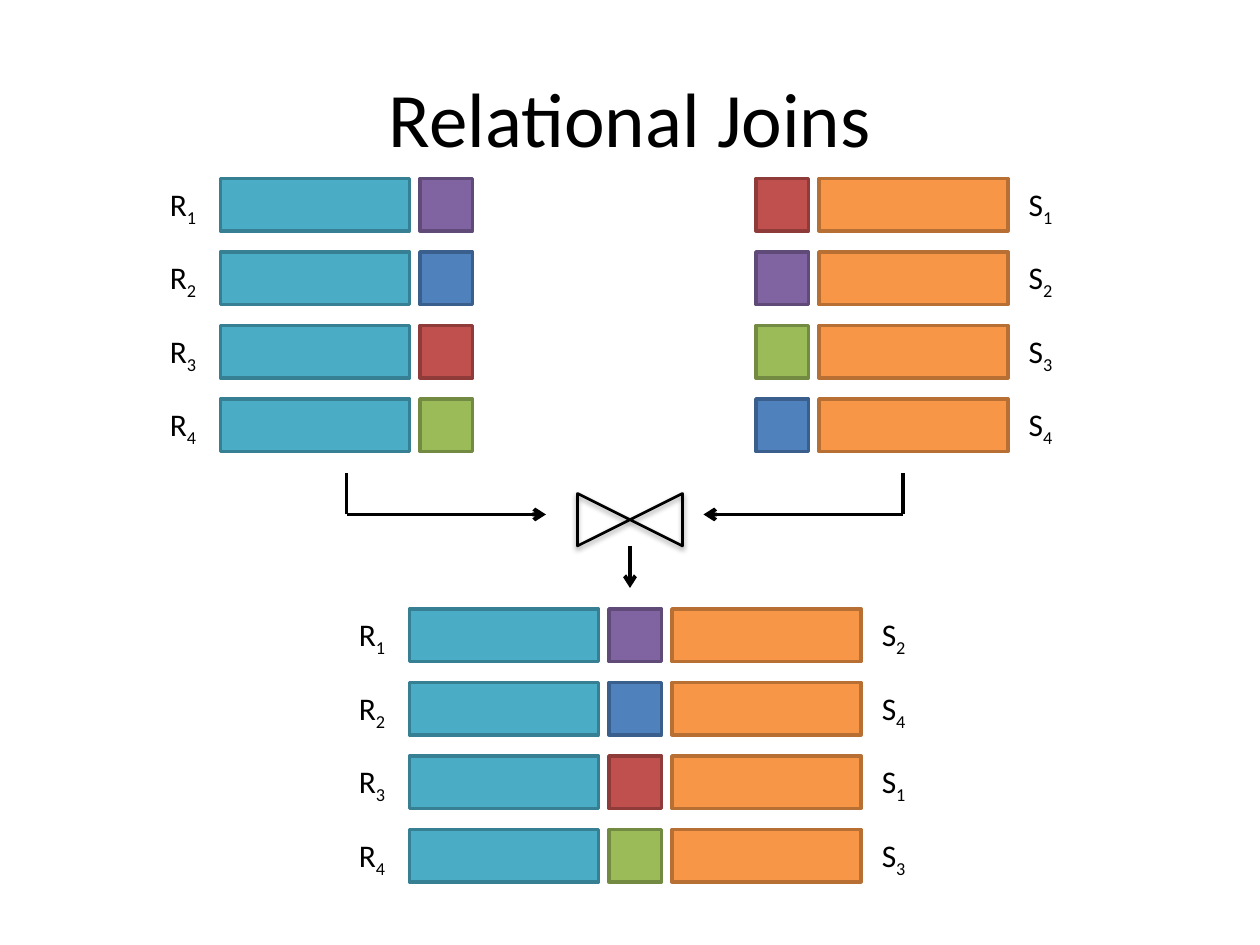
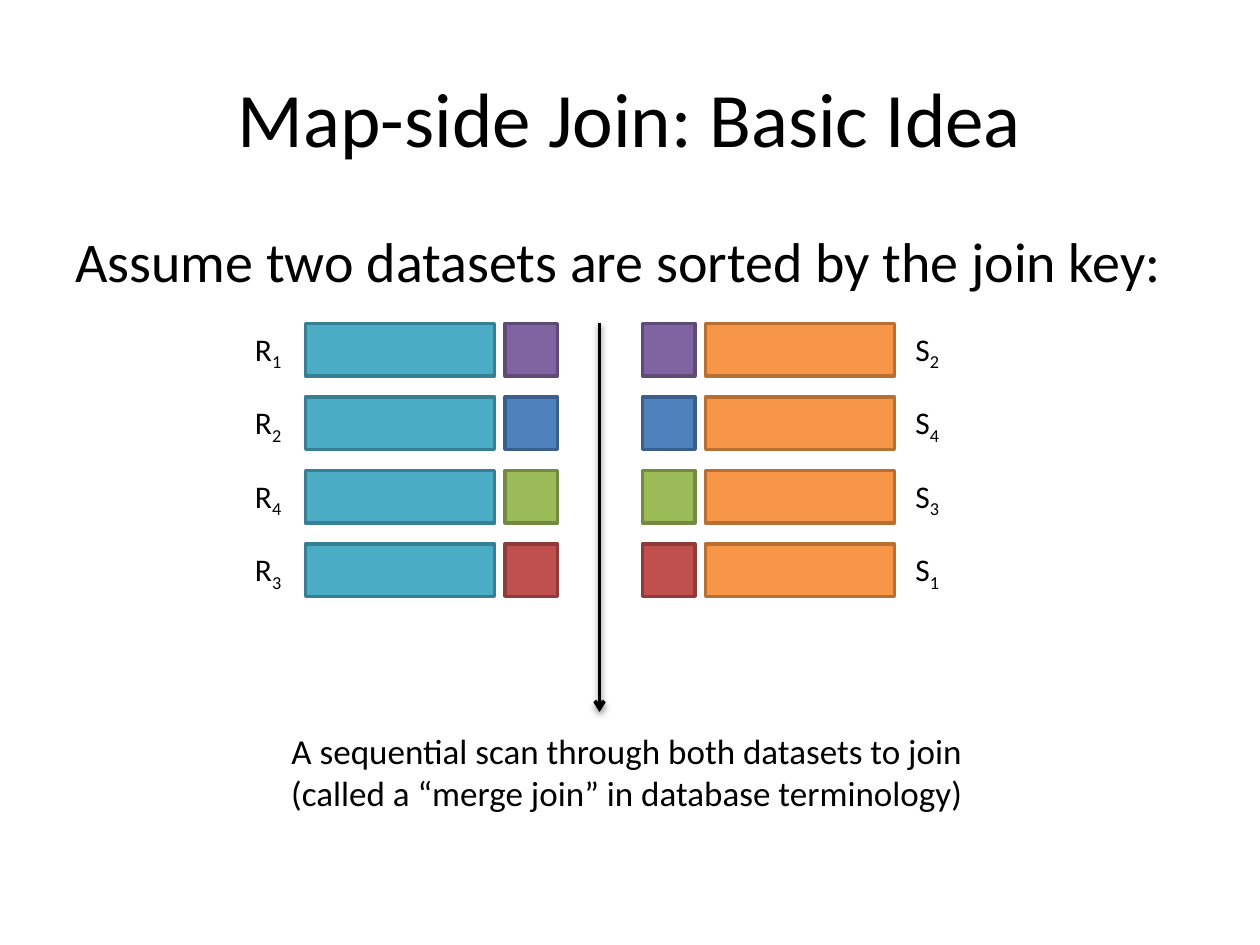
"""Build two slides on relational joins and the map-side join."""
from dataclasses import dataclass

import pptx
import pptx.dml.color
import pptx.enum.shapes
import pptx.enum.text
import pptx.oxml
import pptx.oxml.ns
import pptx.presentation
import pptx.shapes.autoshape
import pptx.shapes.base
import pptx.slide
import pptx.util
from lxml import etree

EMU_PER_PX = 7620
SHAPE = pptx.enum.shapes.MSO_SHAPE
ALIGN = pptx.enum.text.PP_ALIGN
ANCHOR = pptx.enum.text.MSO_ANCHOR
qn = pptx.oxml.ns.qn


@dataclass(frozen=True)
class Paint:
    fill: str
    line: str


@dataclass(frozen=True)
class Theme:
    font: str = "Calibri"
    ink: str = "000000"
    title_size: int = 44
    body_size: int = 32
    caption_size: int = 20
    label_size: int = 18
    box_line: float = 2
    join_line: float = 1.5
    flow_line: float = 2.25
    teal: Paint = Paint("4BACC6", "377F92")
    orange: Paint = Paint("F79646", "B76F34")
    purple: Paint = Paint("8064A2", "5F4A78")
    blue: Paint = Paint("4F81BD", "3A5F8C")
    red: Paint = Paint("C0504D", "8E3B39")
    green: Paint = Paint("9BBB59", "738A42")


THEME = Theme()


@dataclass(frozen=True)
class Area:
    left: int
    top: int
    width: int
    height: int

    def emu(self) -> list[int]:
        return [px(value) for value in (self.left, self.top, self.width, self.height)]


@dataclass(frozen=True)
class Relation:
    """A dataset whose bar and label are placed relative to its key box."""
    name: str
    paint: Paint
    bar_offset: int
    label_offset: int
    label_width: int
    keys: tuple[Paint, ...]


@dataclass(frozen=True)
class Column:
    relation: Relation
    order: tuple[int, ...]
    key_left: int
    top: int
    show_key: bool = True


@dataclass(frozen=True)
class Flow:
    start: tuple[int, int]
    end: tuple[int, int]
    arrow: bool = True
    width: float = THEME.flow_line
    shadow: bool = False


KEY_SIZE = 50
BAR_WIDTH = 180
ROW_PITCH = 70
LABEL_HEIGHT = 48
TITLE_AREA = Area(60, 36, 1080, 150)

R = Relation("R", THEME.teal, -190, -250, 50,
             (THEME.purple, THEME.blue, THEME.red, THEME.green))
S = Relation("S", THEME.orange, 60, 248, 48,
             (THEME.red, THEME.purple, THEME.green, THEME.blue))

JOIN_COLUMNS = (
    Column(R, (1, 2, 3, 4), 400, 170),
    Column(S, (1, 2, 3, 4), 720, 170),
    Column(R, (1, 2, 3, 4), 580, 580),
    Column(S, (2, 4, 1, 3), 580, 580, show_key=False),
)
JOIN_FLOWS = (
    Flow((330, 490), (520, 490)),
    Flow((330, 490), (330, 450), arrow=False),
    Flow((860, 490), (670, 490)),
    Flow((860, 490), (860, 450), arrow=False),
    Flow((600, 520), (600, 560)),
)
SORTED_COLUMNS = (
    Column(R, (1, 2, 4, 3), 481, 308),
    Column(S, (2, 4, 3, 1), 612, 308),
)
SCAN_FLOW = Flow((571, 308), (571, 678), width=THEME.box_line, shadow=True)


def px(value: int) -> int:
    """Turn px into EMU."""
    return value * EMU_PER_PX


def rgb(value: str) -> pptx.dml.color.RGBColor:
    """Turn a hex string into a colour."""
    return pptx.dml.color.RGBColor.from_string(value)


def apply_format(target: object, values: dict[str, object]) -> None:
    """Set every named attribute on the target."""
    for name, value in values.items():
        setattr(target, name, value)


def add_text(page: pptx.slide.Slide, area: Area, text: str, size: int,
             subscript: str = "", align: ALIGN = ALIGN.LEFT,
             anchor: ANCHOR = ANCHOR.TOP, wrap: bool = True) -> None:
    """Write one paragraph, with an optional subscript at its end."""
    frame = page.shapes.add_textbox(*area.emu()).text_frame
    apply_format(frame, {"word_wrap": wrap, "vertical_anchor": anchor})
    para = frame.paragraphs[0]
    apply_format(para, {"text": text, "alignment": align})
    if subscript:
        para.add_run().text = subscript
    for span in para.runs:
        apply_format(span.font, {"name": THEME.font, "size": pptx.util.Pt(size)})
        span.font.color.rgb = rgb(THEME.ink)
    if subscript:
        para.runs[-1].font._element.set("baseline", "-25000")


def add_shadow(effects: etree._Element) -> None:
    """Put a soft downward shadow into an effect list."""
    shadow = etree.SubElement(effects, qn("a:outerShdw"), blurRad="40000",
                              dist="20000", dir="5400000", rotWithShape="0")
    colour = etree.SubElement(shadow, qn("a:srgbClr"), val=THEME.ink)
    etree.SubElement(colour, qn("a:alpha"), val="38000")


def add_box(page: pptx.slide.Slide, area: Area, paint: Paint) -> None:
    """Draw a filled rectangle with a darker outline."""
    box = page.shapes.add_shape(SHAPE.RECTANGLE, *area.emu())
    box.shadow.inherit = False
    box.fill.solid()
    box.fill.fore_color.rgb = rgb(paint.fill)
    box.line.color.rgb = rgb(paint.line)
    box.line.width = pptx.util.Pt(THEME.box_line)


def add_column(page: pptx.slide.Slide, column: Column) -> None:
    """Draw the records of one relation in the given order."""
    relation = column.relation
    for row, number in enumerate(column.order):
        top = column.top + row * ROW_PITCH
        bar_left = column.key_left + relation.bar_offset
        label_left = column.key_left + relation.label_offset
        add_box(page, Area(bar_left, top, BAR_WIDTH, KEY_SIZE), relation.paint)
        add_text(page, Area(label_left, top, relation.label_width, LABEL_HEIGHT),
                 relation.name, THEME.label_size, subscript=str(number), wrap=False)
        if column.show_key:
            add_box(page, Area(column.key_left, top, KEY_SIZE, KEY_SIZE),
                    relation.keys[number - 1])


def add_flow(page: pptx.slide.Slide, flow: Flow) -> None:
    """Draw a straight line, with an arrowhead and shadow on request."""
    ends = [px(value) for value in (*flow.start, *flow.end)]
    link = page.shapes.add_connector(
        pptx.enum.shapes.MSO_CONNECTOR.STRAIGHT, *ends)
    link.line.color.rgb = rgb(THEME.ink)
    link.line.width = pptx.util.Pt(flow.width)
    properties = link._element.spPr
    if flow.arrow:
        etree.SubElement(properties.find(qn("a:ln")), qn("a:tailEnd"), type="arrow")
    effects = etree.SubElement(properties, qn("a:effectLst"))
    if flow.shadow:
        add_shadow(effects)


def add_join_symbol(page: pptx.slide.Slide, area: Area) -> None:
    """Draw the bow tie that stands for a join."""
    symbol = page.shapes.add_shape(SHAPE.FLOWCHART_COLLATE, *area.emu())
    apply_format(symbol, {"rotation": 90})
    symbol.fill.background()
    symbol.line.color.rgb = rgb(THEME.ink)
    symbol.line.width = pptx.util.Pt(THEME.join_line)
    symbol.shadow.inherit = False
    add_shadow(symbol._element.spPr.find(qn("a:effectLst")))


def add_page(deck: pptx.presentation.Presentation, title: str) -> pptx.slide.Slide:
    """Add a blank page with a centred title."""
    page = deck.slides.add_slide(deck.slide_layouts[6])
    add_text(page, TITLE_AREA, title, THEME.title_size,
             align=ALIGN.CENTER, anchor=ANCHOR.MIDDLE)
    return page


def add_relational_joins(deck: pptx.presentation.Presentation) -> None:
    """Show two relations flowing into one joined relation."""
    page = add_page(deck, "Relational Joins")
    add_join_symbol(page, Area(575, 445, 50, 100))
    for flow in JOIN_FLOWS:
        add_flow(page, flow)
    for column in JOIN_COLUMNS:
        add_column(page, column)


def add_map_side_join(deck: pptx.presentation.Presentation) -> None:
    """Show a scan through two sorted relations."""
    page = add_page(deck, "Map-side Join: Basic Idea")
    add_text(page, Area(60, 210, 1080, 594),
             "Assume two datasets are sorted by the join key:", THEME.body_size)
    for column in SORTED_COLUMNS:
        add_column(page, column)
    add_flow(page, SCAN_FLOW)
    add_text(page, Area(222, 689, 750, 92),
             "A sequential scan through both datasets to join\v"
             "(called a “merge join” in database terminology)",
             THEME.caption_size, align=ALIGN.CENTER)


def main() -> None:
    """Build and save the deck."""
    deck = pptx.Presentation()
    apply_format(deck, {"slide_width": px(1200), "slide_height": px(900)})
    add_relational_joins(deck)
    add_map_side_join(deck)
    deck.save("out.pptx")


if __name__ == "__main__":
    main()
